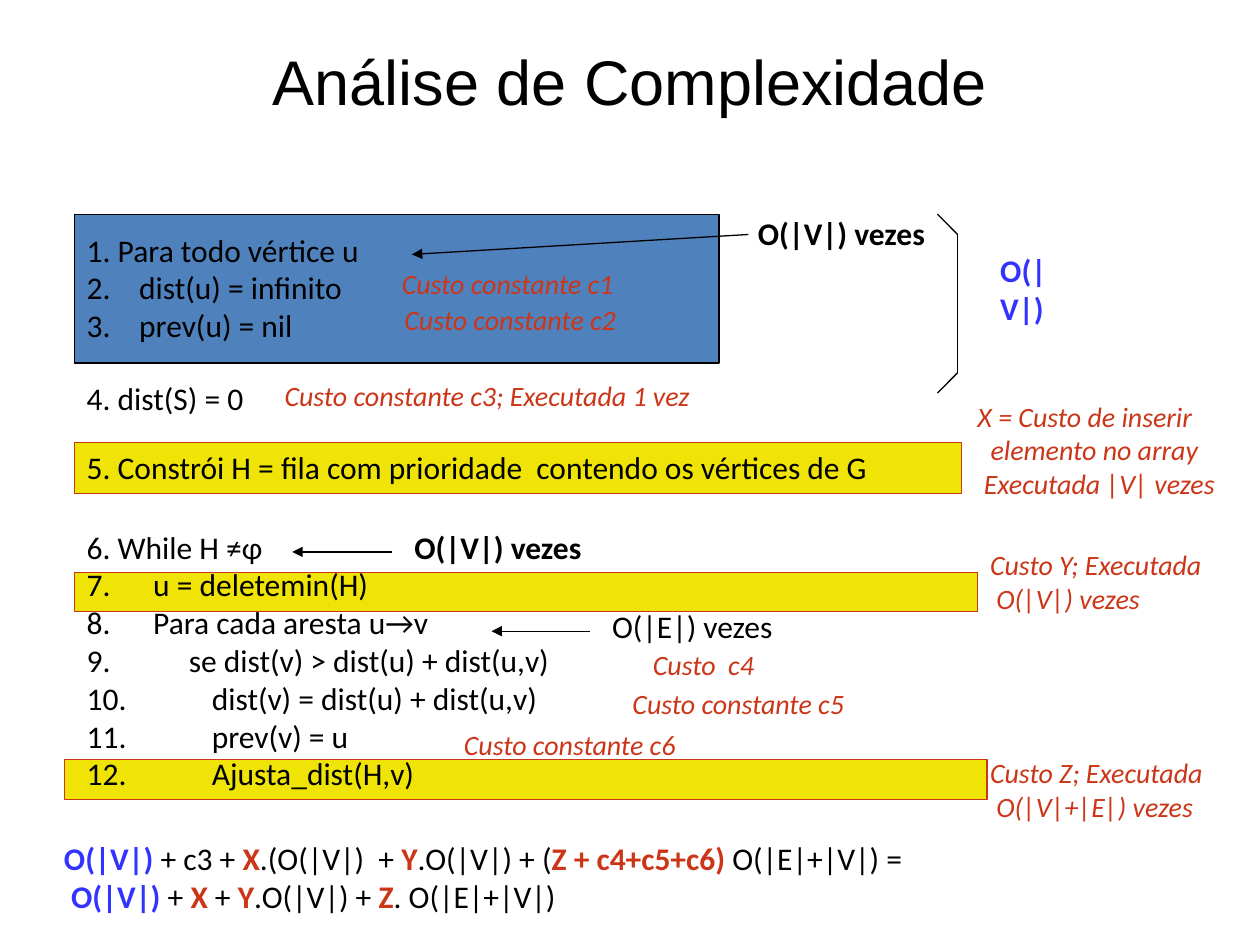
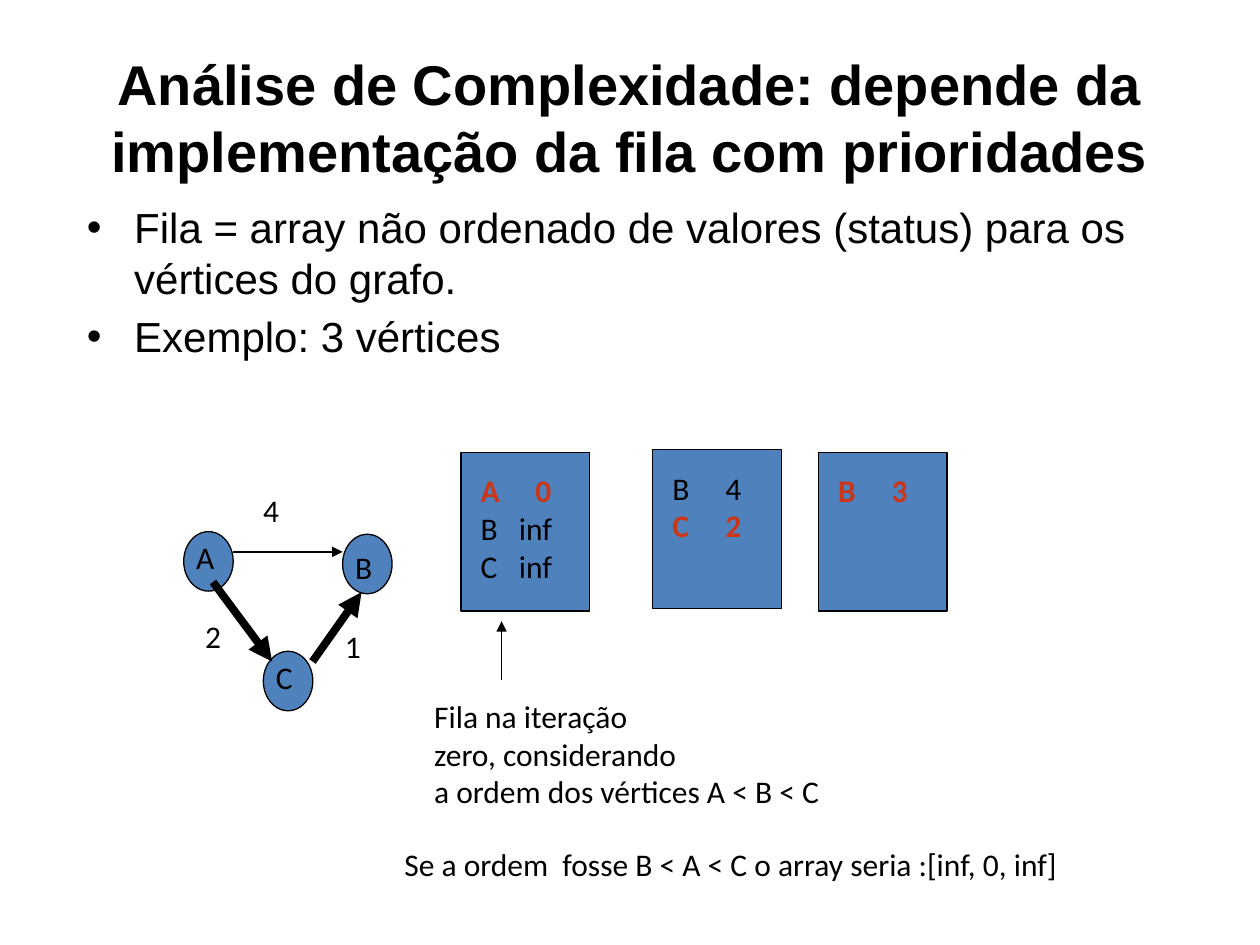
from lxml import etree
from pptx import Presentation
from pptx import util as u
from pptx.dml import color
from pptx.enum import shapes, text
from pptx.oxml import ns

BLACK, RED, BLUE, YELLOW, STEEL = "000000", "CC3618", "3333FF", "EFE405", "4F81BD"
TITLE_AREA = (36, 21.6, 648, 90)
THIN, THICK = 0.75, 4.5

STYLES = {
    "plain": dict(name="Calibri", size=18, color=BLACK),
    "bold": dict(name="Calibri", size=18, color=BLACK, bold=True),
    "cost": dict(name="Calibri", size=16, color=RED, italic=True),
    "total": dict(name="Calibri", size=18, color=BLUE, bold=True),
    "key": dict(name="Calibri", size=18, color=RED, bold=True),
    "title": dict(name="Arial", size=36, color=BLACK, bold=False),
    "long title": dict(name="Arial", size=32, color=BLACK, bold=True),
    "body": dict(name="Arial", size=24, color=BLACK),
}

COMPLEXITY_TITLE = "Análise de Complexidade"
BANDS = [
    ((37, 434, 527, 23), YELLOW, RED),
    ((42.5, 327, 516, 22.5), YELLOW, RED),
    ((42.5, 122.5, 368.5, 85), STEEL, BLACK),
    ((42.5, 252.7, 507, 29.5), YELLOW, RED),
]
ALGORITHM = [
    ((42.5, 128.2, 360, 72), "plain",
     ["1. Para todo vértice u", ("2.\tdist(u) = infinito", 30), ("3.\tprev(u) = nil", 30)]),
    ((42.5, 213, 510, 50), "plain", ["4. dist(S) = 0"]),
    ((42.5, 252.7, 507, 29.5), "plain",
     ["5. Constrói H = fila com prioridade  contendo os vértices de G"]),
    ((42.5, 298, 312.5, 158.5), "plain",
     ["6. While H ≠φ", ("7.\tu = deletemin(H)", 38), ("8.\tPara cada aresta u→v", 38),
      ("9.\tse dist(v) > dist(u) + dist(u,v)", 58.3),
      ("10.\tdist(v) = dist(u) + dist(u,v)", 71.5),
      ("11.\tprev(v) = u", 71.5), ("12.\tAjusta_dist(H,v)", 71.5)]),
]
COSTS = [
    ((426, 119, 117, 29), "bold", ["O(|V|) vezes"]),
    ((222.5, 149, 151, 26.6), "cost", ["Custo constante c1"]),
    ((224, 169.5, 151, 26.6), "cost", ["Custo constante c2"]),
    ((564.5, 140, 62.6, 29), "total", ["O(|V|)"]),
    ((155.5, 213, 279, 26.6), "cost", ["Custo constante c3; Executada 1 vez"]),
    ((258, 412, 151, 26.6), "cost", ["Custo constante c6"]),
    ((354.3, 389, 157, 26.6), "cost", ["Custo constante c5"]),
    ((366, 366.5, 86.5, 26.6), "cost", ["Custo  c4"]),
    ((551.5, 224.6, 168.5, 65), "cost",
     ["X = Custo de inserir", ("\telemento no array", 7.5), " Executada |V| vezes"]),
    ((558.7, 309.6, 155.5, 46), "cost", ["Custo Y; Executada", " O(|V|) vezes"]),
    ((229.7, 298, 117, 29), "bold", ["O(|V|) vezes"]),
    ((342.7, 343.5, 114, 29), "plain", ["O(|E|) vezes"]),
    ((558.7, 428.4, 155, 46), "cost", ["Custo Z; Executada", " O(|V|+|E|) vezes"]),
    ((29.5, 476, 532, 50.4), "plain", [
        [("O(|V|)", "total"), (" + c3 + ", "plain"), ("X", "key"), (".(O(|V|)  + ", "plain"),
         ("Y", "key"), (".O(|V|) + (", "plain"), ("Z + c4+c5+c6)", "key"),
         (" O(|E|+|V|) =", "plain")],
        [(" ", "plain"), ("O(|V|)", "total"), (" + ", "plain"), ("X", "key"), (" + ", "plain"),
         ("Y", "key"), (".O(|V|) + ", "plain"), ("Z", "key"), (". O(|E|+|V|)", "plain")],
    ]),
]
COST_ARROWS = [
    ((427.7, 134), (235.4, 145.4), THIN),
    ((224, 315.4), (167, 315.4), THIN),
    ((337, 360.7), (280.8, 360.7), THIN),
]
BRACKET = [(535.7, 122.4), (547.2, 134), (547.2, 213), (535.7, 224.6)]

QUEUE_TITLE = "Análise de Complexidade: depende da implementação da fila com prioridades"
QUEUE_AREA = (42.5, 111.6, 648, 356.4)
QUEUE_POINTS = [
    "Fila = array não ordenado de valores (status) para os vértices do grafo.",
    "Exemplo: 3 vértices",
]
VERTEX_SIZE = (28.3, 34)
VERTICES = [("A", 105, 303.8, 0), ("B", 195.8, 305.3, 4.3), ("C", 150.5, 372.2, 0)]
EDGES = [
    ((121.7, 332.6), (155.5, 378), THICK),
    ((178.6, 378), (206.6, 338.4), THICK),
    ((133.2, 315.4), (195.8, 315.4), THIN),
    ((286.6, 388.8), (286.6, 355), THIN),
]
WEIGHTS = [("4", 143.3, 277.2), ("2", 110.2, 349.2), ("1", 190, 355)]
QUEUE_SIZE = (73.5, 90.7)
QUEUES = [
    (263.5, 258.5, [([("A\t0", "key")], 31.3), ("B\tinf", 21.8), ("C\tinf", 21.8)]),
    (373, 257, [("B\t4", 30.3), ([("C\t2", "key")], 30.3)]),
    (467.7, 258.5, [([("B\t3", "key")], 30.6)]),
]
CAPTIONS = [
    ((241, 394.6, 264, 72), "plain",
     ["Fila na iteração", "zero, considerando", "a ordem dos vértices A < B < C"]),
    ((224, 479.5, 436, 29), "plain",
     ["Se a ordem  fosse B < A < C o array seria :[inf, 0, inf]"]),
]


def rgb(value):
    return color.RGBColor.from_string(value)


def place(item, area):
    for name, value in zip(("left", "top", "width", "height"), area):
        setattr(item, name, u.Pt(value))


def add_span(para, words, style):
    span = para.add_run()
    span.text = words
    for name, value in STYLES[style].items():
        if name == "color":
            span.font.color.rgb = rgb(value)
        else:
            setattr(span.font, name, u.Pt(value) if name == "size" else value)


def fill_lines(frame, lines, style):
    for index, line in enumerate(lines):
        para = frame.add_paragraph() if index else frame.paragraphs[0]
        content, stop = line if isinstance(line, tuple) else (line, None)
        spans = [(content, style)] if isinstance(content, str) else content
        for words, span_style in spans:
            add_span(para, words, span_style)
        if stop:
            stops = etree.SubElement(para._p.get_or_add_pPr(), ns.qn("a:tabLst"))
            etree.SubElement(stops, ns.qn("a:tab"), pos=str(u.Pt(stop)), algn="l")


def add_text(page, area, style, lines):
    box = page.shapes.add_textbox(*map(u.Pt, area))
    box.text_frame.word_wrap = True
    fill_lines(box.text_frame, lines, style)


def add_block(page, kind, area, fill, outline):
    block = page.shapes.add_shape(kind, *map(u.Pt, area))
    block.shadow.inherit = False
    block.fill.solid()
    block.fill.fore_color.rgb = rgb(fill)
    block.line.color.rgb = rgb(outline)
    block.line.width = u.Pt(THIN)


def add_line(parent, start, end, width, arrow=True):
    line = parent.shapes.add_connector(
        shapes.MSO_CONNECTOR.STRAIGHT, *map(u.Pt, start + end))
    line.line.color.rgb = rgb(BLACK)
    line.line.width = u.Pt(width)
    if arrow:
        etree.SubElement(line.line._get_or_add_ln(), ns.qn("a:tailEnd"), type="triangle")
    etree.SubElement(line._element.spPr, ns.qn("a:effectLst"))


def add_page(deck, layout, title, style):
    page = deck.slides.add_slide(deck.slide_layouts.get_by_name(layout))
    heading = page.shapes.title
    place(heading, TITLE_AREA)
    frame = heading.text_frame
    frame.word_wrap = True
    frame.vertical_anchor = text.MSO_ANCHOR.MIDDLE
    fill_lines(frame, [title], style)
    frame.paragraphs[0].alignment = text.PP_ALIGN.CENTER
    return page


def build_complexity(deck):
    page = add_page(deck, "Title Only", COMPLEXITY_TITLE, "title")
    page.shapes.title.text_frame.margin_bottom = u.Pt(45)
    for area, fill, outline in BANDS:
        add_block(page, shapes.MSO_SHAPE.RECTANGLE, area, fill, outline)
    for area, style, lines in ALGORITHM + COSTS:
        add_text(page, area, style, lines)
    for start, end, width in COST_ARROWS:
        add_line(page, start, end, width)
    bracket = page.shapes.add_group_shape()
    for start, end in zip(BRACKET, BRACKET[1:]):
        add_line(bracket, start, end, THIN, arrow=False)


def build_queue(deck):
    page = add_page(deck, "Title and Content", QUEUE_TITLE, "long title")
    body = page.placeholders[1]
    place(body, QUEUE_AREA)
    fill_lines(body.text_frame, QUEUE_POINTS, "body")
    for name, left, top, drop in VERTICES:
        add_block(page, shapes.MSO_SHAPE.OVAL, (left, top, *VERTEX_SIZE), STEEL, BLACK)
        add_text(page, (left, top + drop, 27, 29), "plain", [name])
    for left, top, lines in QUEUES:
        add_block(page, shapes.MSO_SHAPE.RECTANGLE, (left, top, *QUEUE_SIZE), STEEL, BLACK)
        add_text(page, (left + 4.1, top + 7.2, 63, 7 + 21.6 * len(lines)), "plain", lines)
    for start, end, width in EDGES:
        add_line(page, start, end, width)
    for weight, left, top in WEIGHTS:
        add_text(page, (left, top, 24.5, 29), "plain", [weight])
    for area, style, lines in CAPTIONS:
        add_text(page, area, style, lines)


deck = Presentation()
deck.slide_width, deck.slide_height = u.Pt(720), u.Pt(540)
build_complexity(deck)
build_queue(deck)
deck.save("out.pptx")
